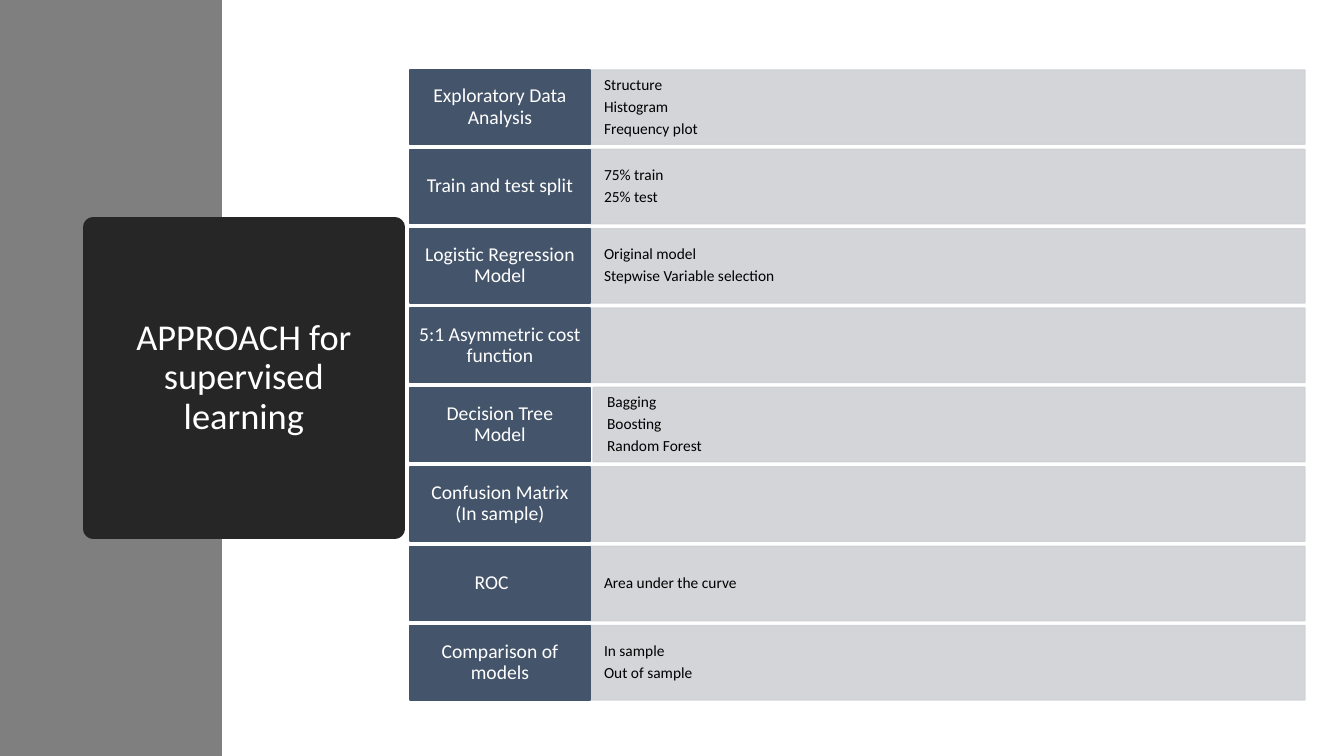
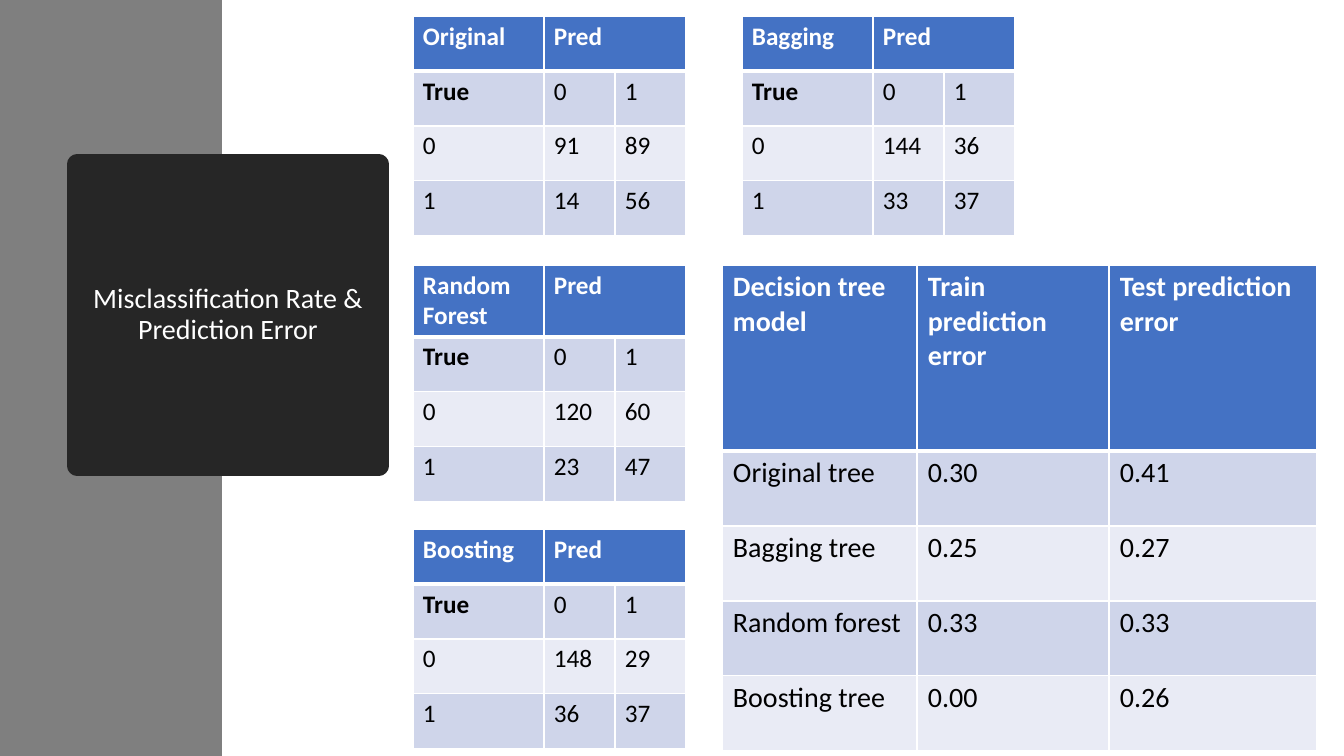
from dataclasses import dataclass

from lxml.etree import SubElement
from pptx import Presentation
from pptx.dml.color import RGBColor
from pptx.enum.shapes import MSO_SHAPE
from pptx.enum.text import MSO_ANCHOR, MSO_AUTO_SIZE, PP_ALIGN
from pptx.oxml.ns import qn
from pptx.util import Emu, Pt


@dataclass(frozen=True)
class Theme:
    font: str = "Calibri"
    sidebar: str = "7F7F7F"
    title_box: str = "262626"
    label: str = "44546A"
    detail: str = "CFD1D4"
    header: str = "4472C4"
    bands: tuple = ("CFD5EA", "E9EBF5")
    white: str = "FFFFFF"
    black: str = "000000"
    approach_title: int = 26
    errors_title: int = 20
    label_size: int = 14
    detail_size: int = 11
    matrix_size: int = 18
    errors_size: int = 20


THEME = Theme()

# Content
APPROACH_TITLE = "APPROACH for supervised learning"
STEPS = [
    ("Exploratory Data Analysis", ["Structure", "Histogram", "Frequency plot"]),
    ("Train and test split", ["75% train", "25% test"]),
    ("Logistic Regression Model", ["Original model", "Stepwise Variable selection"]),
    ("5:1 Asymmetric cost function", []),
    ("Decision Tree Model", ["Bagging", "Boosting", "Random Forest"]),
    ("Confusion Matrix (In sample)", []),
    ("ROC\t", ["Area under the curve"]),
    ("Comparison of models", ["In sample", "Out of sample"]),
]
INSET_STEP = "Decision Tree Model"

ERRORS_TITLE = "Misclassification Rate & Prediction Error"
# name, left, top, header height, predictions for true 0, for true 1
MATRICES = [
    ("Original", 413, 16, 55, ("91", "89"), ("14", "56")),
    ("Bagging", 742, 16, 55, ("144", "36"), ("33", "37")),
    ("Random Forest", 413, 265, 71, ("120", "60"), ("23", "47")),
    ("Boosting", 413, 529, 55, ("148", "29"), ("36", "37")),
]
ERRORS = [
    ("Decision tree model", "Train prediction error", "Test prediction error"),
    ("Original tree", "0.30", "0.41"),
    ("Bagging tree", "0.25", "0.27"),
    ("Random forest", "0.33", "0.33"),
    ("Boosting tree", "0.00", "0.26"),
]

# Layout in px
SLIDE_W, SLIDE_H = 1344, 756
SIDEBAR_W, TITLE_SIDE = 222, 302
STEPS_TOP, STEPS_BOTTOM, STEP_GAP = 70, 700, 5
LABEL_LEFT, DETAIL_LEFT, DETAIL_RIGHT, DETAIL_INSET = 410, 590, 1305, 3
MATRIX_COLS, MATRIX_ROW = (131, 71, 71), 55
ERRORS_LEFT, ERRORS_TOP = 722, 265
ERRORS_COLS, ERRORS_HEADER, ERRORS_ROW = (195, 192, 208), 186, 75


def px(length):
    return Emu(round(length * 914400 / 100.8))


def rgb(color):
    return RGBColor.from_string(color)


def write(frame, lines, *, size, color=THEME.white, bold=False,
          align=PP_ALIGN.LEFT, spacing=None, after=None):
    for index, line in enumerate(lines):
        paragraph = frame.add_paragraph() if index else frame.paragraphs[0]
        paragraph.alignment = align
        paragraph.line_spacing = spacing
        paragraph.space_after = after
        run = paragraph.add_run()
        run.text = line
        run.font.name, run.font.size, run.font.bold = THEME.font, Pt(size), bold
        run.font.color.rgb = rgb(color)


def paint(shape, color, line_width):
    shape.fill.solid()
    shape.fill.fore_color.rgb = rgb(color)
    shape.line.color.rgb = rgb(color)
    shape.line.width = Pt(line_width)


def place(shape, left, top, width, height):
    shape.left, shape.top = px(left), px(top)
    shape.width, shape.height = px(width), px(height)


def add_box(slide, left, top, width, height, color, *, insets=(0, 0), opacity=None):
    box = slide.shapes.add_shape(
        MSO_SHAPE.RECTANGLE, px(left), px(top), px(width), px(height))
    box.shadow.inherit = False
    paint(box, color, 1)
    if opacity is not None:
        for tint in box.element.spPr.iter(qn("a:srgbClr")):
            SubElement(tint, qn("a:alpha"), val=str(opacity * 1000))
    frame = box.text_frame
    frame.word_wrap = True
    frame.vertical_anchor = MSO_ANCHOR.MIDDLE
    frame.margin_left = frame.margin_right = px(insets[0])
    frame.margin_top = frame.margin_bottom = px(insets[1])
    return box


def add_framed_slide(deck, text, left, top, size):
    """A slide with the grey sidebar and the dark title square."""
    slide = deck.slides.add_slide(deck.slide_layouts[5])
    title = slide.shapes.title
    sidebar = add_box(slide, 0, 0, SIDEBAR_W, SLIDE_H, THEME.sidebar)
    sidebar.line.fill.background()
    title.element.addprevious(sidebar.element)

    place(title, left, top, TITLE_SIDE, TITLE_SIDE)
    paint(title, THEME.title_box, 13.75)
    SubElement(title.line._get_or_add_ln(), qn("a:round"))
    title.text_frame.word_wrap = True
    title.text_frame.auto_size = MSO_AUTO_SIZE.NONE
    title.text_frame.vertical_anchor = MSO_ANCHOR.MIDDLE
    write(title.text_frame, [text], size=size, align=PP_ALIGN.CENTER, spacing=0.9)
    return slide


def add_borders(cell, top, bottom):
    properties = cell._tc.get_or_add_tcPr()
    for side, width in (("L", 1), ("R", 1), ("T", top), ("B", bottom)):
        edge = SubElement(properties, qn(f"a:ln{side}"), w=str(Pt(width)))
        fill = SubElement(edge, qn("a:solidFill"))
        SubElement(fill, qn("a:srgbClr"), val=THEME.white)


def add_grid(slide, left, top, columns, heights, rows, *, size, inset=10, bold_cells=()):
    """A table with a blue header and banded rows; None continues a merged cell."""
    table = slide.shapes.add_table(
        len(rows), len(columns), px(left), px(top),
        px(sum(columns)), px(sum(heights))).table
    table.first_row = table.horz_banding = False
    for column, width in zip(table.columns, columns):
        column.width = px(width)
    for r, (values, height) in enumerate(zip(rows, heights)):
        table.rows[r].height = px(height)
        for c, value in enumerate(values):
            cell = table.cell(r, c)
            add_borders(cell, top=3 if r == 1 else 1, bottom=1 if r else 3)
            cell.fill.solid()
            cell.fill.fore_color.rgb = rgb(THEME.bands[(r - 1) % 2] if r else THEME.header)
            cell.margin_left = cell.margin_right = px(inset)
            if value is None:
                table.cell(r, c - 1).merge(cell)
            else:
                write(cell.text_frame, [value], size=size,
                      color=THEME.black if r else THEME.white,
                      bold=r == 0 or (r, c) in bold_cells)


def build_approach(deck):
    slide = add_framed_slide(deck, APPROACH_TITLE, 93, 227, THEME.approach_title)
    pitch = (STEPS_BOTTOM - STEPS_TOP + STEP_GAP) / len(STEPS)
    height = pitch - STEP_GAP
    for index, (step, details) in enumerate(STEPS):
        top = STEPS_TOP + index * pitch
        left = DETAIL_LEFT + (DETAIL_INSET if step == INSET_STEP else 0)
        detail = add_box(slide, left, top, DETAIL_RIGHT - left, height,
                         THEME.detail, insets=(14, 19), opacity=90)
        write(detail.text_frame, details, size=THEME.detail_size,
              color=THEME.black, spacing=0.9, after=Pt(3.8))
        label = add_box(slide, LABEL_LEFT, top, DETAIL_LEFT - LABEL_LEFT, height,
                        THEME.label, insets=(9, 7))
        write(label.text_frame, [step], size=THEME.label_size,
              align=PP_ALIGN.CENTER, spacing=0.9)


def build_errors(deck):
    slide = add_framed_slide(deck, ERRORS_TITLE, 77, 164, THEME.errors_title)
    # Confusion matrices
    for name, left, top, header, true_0, true_1 in MATRICES:
        rows = [(name, "Pred", None), ("True", "0", "1"), ("0", *true_0), ("1", *true_1)]
        add_grid(slide, left, top, MATRIX_COLS, [header] + [MATRIX_ROW] * 3, rows,
                 size=THEME.matrix_size, bold_cells={(1, 0)})
    # Prediction errors
    heights = [ERRORS_HEADER] + [ERRORS_ROW] * (len(ERRORS) - 1)
    add_grid(slide, ERRORS_LEFT, ERRORS_TOP, ERRORS_COLS, heights, ERRORS,
             size=THEME.errors_size, inset=11)


def main():
    deck = Presentation()
    deck.slide_width, deck.slide_height = px(SLIDE_W), px(SLIDE_H)
    build_approach(deck)
    build_errors(deck)
    deck.save("out.pptx")


if __name__ == "__main__":
    main()
